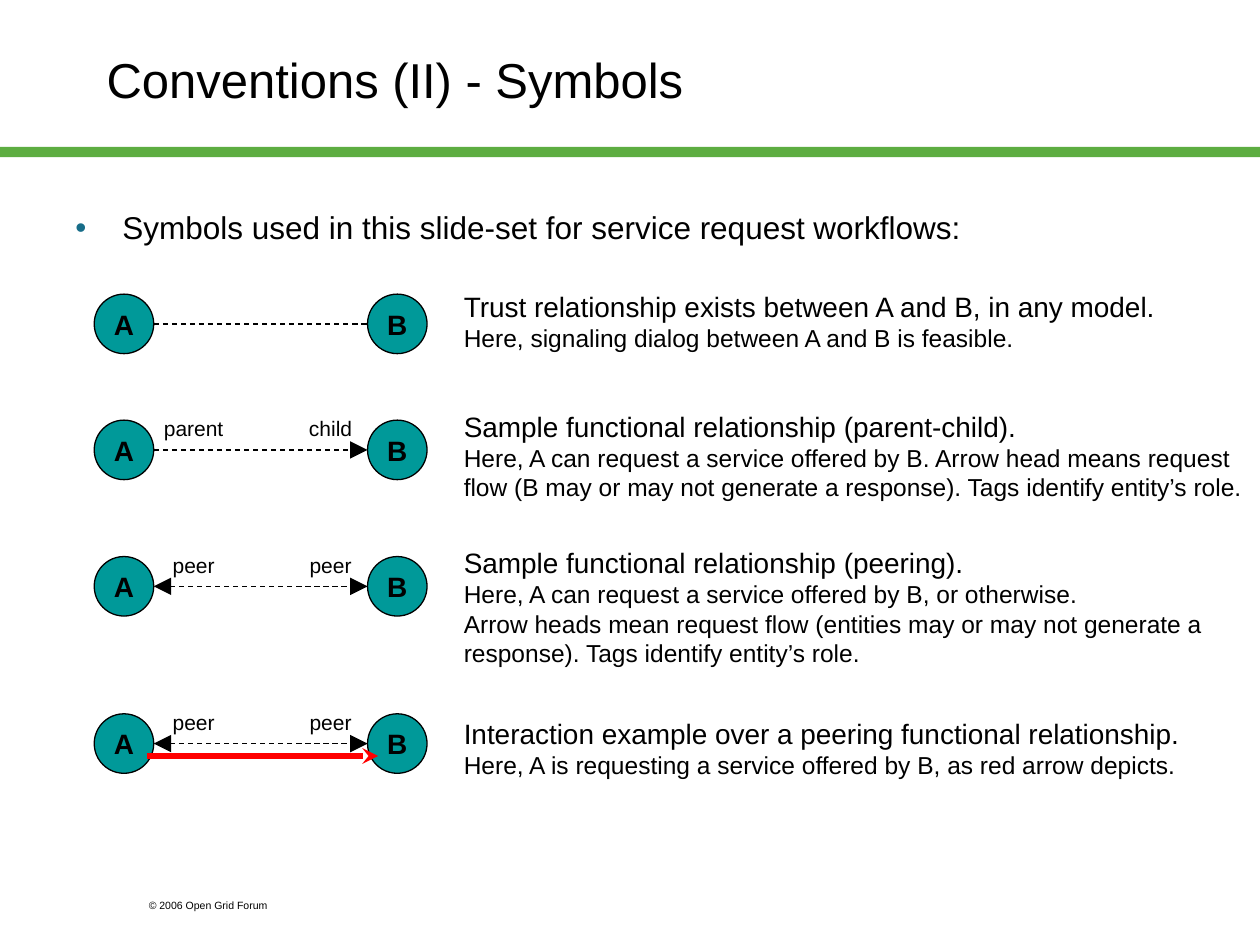
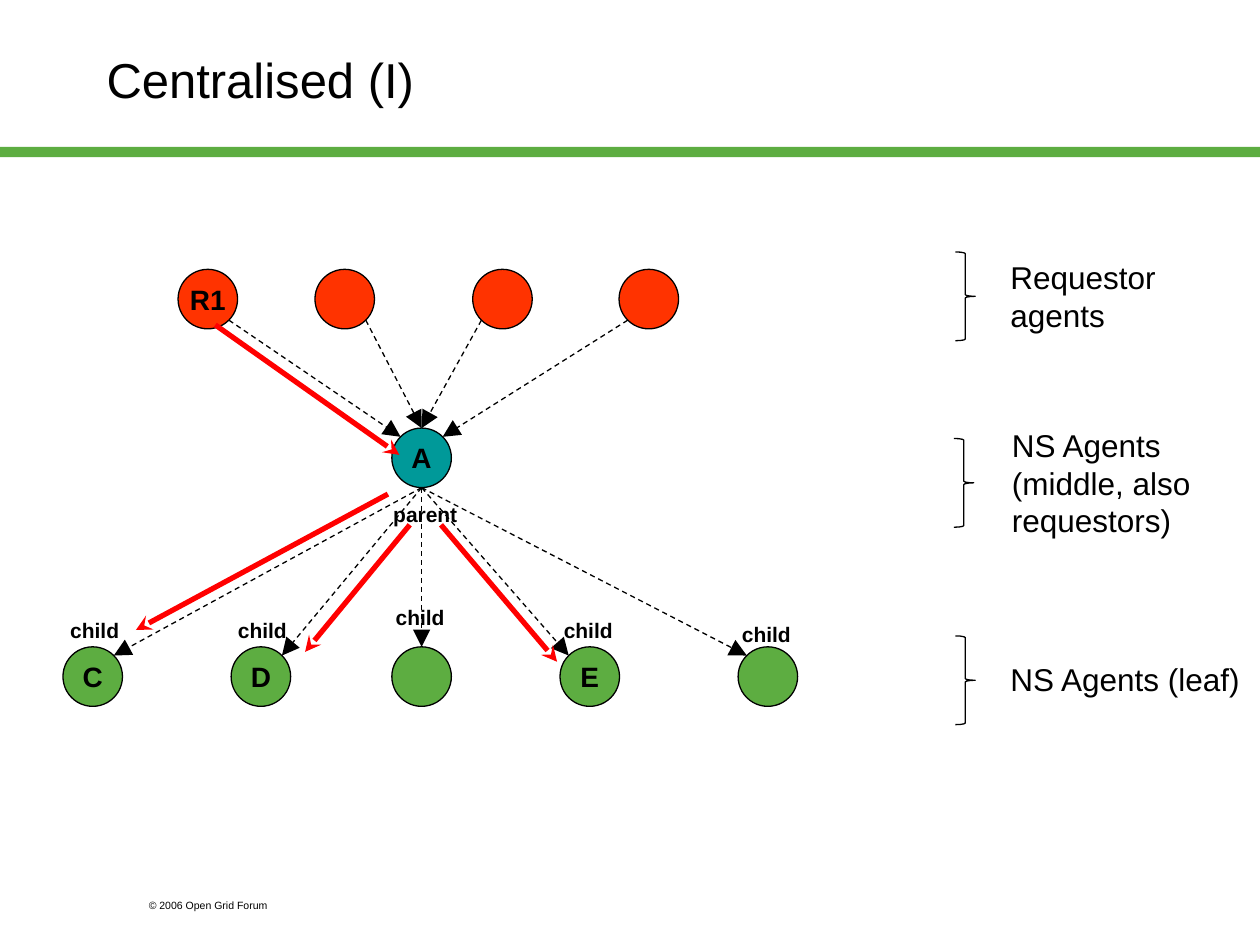
from typing import NamedTuple, Optional

from pptx import Presentation
from pptx.dml.color import RGBColor
from pptx.enum.dml import MSO_LINE
from pptx.enum.shapes import MSO_CONNECTOR, MSO_SHAPE
from pptx.enum.text import MSO_ANCHOR, PP_ALIGN
from pptx.oxml.ns import qn
from pptx.util import Cm, Pt
from lxml.etree import SubElement

COLOURS = {
    "ink": "000000",
    "band": "5DAD41",
    "bullet": "176D89",
    "agent": "009999",
    "leaf": "5DAD41",
    "requestor": "FF3300",
    "request": "FF0000",
}
FONT = "Arial"
DIAMETER = 1.2
DIAGONAL = 0.5 ** 0.5
COMPASS = {
    "N": (0, -1), "S": (0, 1), "W": (-1, 0), "E": (1, 0),
    "NW": (-DIAGONAL, -DIAGONAL), "NE": (DIAGONAL, -DIAGONAL),
    "SW": (-DIAGONAL, DIAGONAL), "SE": (DIAGONAL, DIAGONAL),
}


class Point(NamedTuple):
    x: float
    y: float


class Frame(NamedTuple):
    left: float
    top: float
    width: float
    height: float

    def lengths(self) -> list:
        return [Cm(value) for value in self]


class Node(NamedTuple):
    left: float
    top: float
    colour: str
    name: str = ""

    def rim(self, direction: str) -> Point:
        """Point on the circle in a compass direction."""
        radius = DIAMETER / 2
        dx, dy = COMPASS[direction]
        return Point(self.left + radius * (1 + dx), self.top + radius * (1 + dy))


class Symbol(NamedTuple):
    node_top: float
    text_top: float
    text_height: float
    lines: list
    roles: tuple = ()
    head: Optional[str] = None
    tail: Optional[str] = None


class Level(NamedTuple):
    brace: Point
    frame: Frame
    lines: list


class Leaf(NamedTuple):
    node: Node
    label: Point
    side: str


def colour(name: str) -> RGBColor:
    return RGBColor.from_string(COLOURS[name])


# Drawing helpers
def style(para, size: float, bold: bool = False, align=PP_ALIGN.LEFT) -> None:
    para.alignment = align
    for span in para.runs:
        span.font.name = FONT
        span.font.size = Pt(size)
        span.font.bold = bold
        span.font.color.rgb = colour("ink")


def add_text(page, frame: Frame, lines: list, sizes: list, bold: bool = False,
             align=PP_ALIGN.LEFT, anchor=MSO_ANCHOR.TOP):
    """Text box with one paragraph a line; the last size serves the rest."""
    box = page.shapes.add_textbox(*frame.lengths())
    text_frame = box.text_frame
    text_frame.word_wrap = True
    text_frame.vertical_anchor = anchor
    text_frame.text = "\n".join(lines)
    for index, para in enumerate(text_frame.paragraphs):
        style(para, sizes[min(index, len(sizes) - 1)], bold, align)
    return box


def add_label(page, at: Point, text: str, width: float, bold: bool = False) -> None:
    add_text(page, Frame(at.x, at.y, width, 0.75), [text], [12], bold, PP_ALIGN.CENTER)


def add_node(page, node: Node) -> None:
    frame = Frame(node.left, node.top, DIAMETER, DIAMETER)
    circle = page.shapes.add_shape(MSO_SHAPE.OVAL, *frame.lengths())
    circle.shadow.inherit = False
    circle.fill.solid()
    circle.fill.fore_color.rgb = colour(node.colour)
    circle.line.color.rgb = colour("ink")
    circle.line.width = Pt(0.75)
    if node.name:
        circle.text_frame.word_wrap = False
        circle.text_frame.vertical_anchor = MSO_ANCHOR.MIDDLE
        circle.text_frame.text = node.name
        style(circle.text_frame.paragraphs[0], 16, True, PP_ALIGN.CENTER)


def add_line(page, start: Point, end: Point, ink: str, width: float, dashed: bool,
             arrow_size: str, head: Optional[str], tail: Optional[str]) -> None:
    points = [Cm(value) for value in (*start, *end)]
    connector = page.shapes.add_connector(MSO_CONNECTOR.STRAIGHT, *points)
    connector.line.color.rgb = colour(ink)
    connector.line.width = Pt(width)
    if dashed:
        connector.line.dash_style = MSO_LINE.DASH
    properties = connector.element.spPr
    outline = properties.find(qn("a:ln"))
    for tag, kind in (("a:headEnd", head), ("a:tailEnd", tail)):
        if kind:
            SubElement(outline, qn(tag), type=kind, w=arrow_size, len=arrow_size)
    SubElement(properties, qn("a:effectLst"))


def add_relation(page, start: Point, end: Point, head: Optional[str] = None,
                 tail: Optional[str] = "triangle") -> None:
    add_line(page, start, end, "ink", 0.75, True, "lg", head, tail)


def add_request(page, start: Point, end: Point) -> None:
    add_line(page, start, end, "request", 3, False, "med", None, "stealth")


def add_page(deck, title: str):
    """Blank page with the shared band, footer and title."""
    page = deck.slides.add_slide(deck.slide_layouts[6])
    band = page.shapes.add_shape(MSO_SHAPE.RECTANGLE, *Frame(0, 2.96, 25.4, 0.21).lengths())
    band.shadow.inherit = False
    band.fill.solid()
    band.fill.fore_color.rgb = colour("band")
    band.line.fill.background()
    add_text(page, Frame(2.75, 17.99, 3.81, 0.5), ["© 2006 Open Grid Forum"], [6])
    add_text(page, Frame(1.9, 0, 21.59, 3.18), [title], [28], anchor=MSO_ANCHOR.MIDDLE)
    return page


# Page 1: the symbols and what they mean
SYMBOLS = [
    Symbol(5.93, 5.72, 1.52, [
        "Trust relationship exists between A and B, in any model.",
        "Here, signaling dialog between A and B is feasible.",
    ]),
    Symbol(8.47, 8.13, 2.13, [
        "Sample functional relationship (parent-child).",
        "Here, A can request a service offered by B. Arrow head means request flow "
        "(B may or may not generate a response). Tags identify entity’s role.",
    ], ("parent", "child"), tail="triangle"),
    Symbol(11.22, 10.88, 2.73, [
        "Sample functional relationship (peering).",
        "Here, A can request a service offered by B, or otherwise.",
        "Arrow heads mean request flow (entities may or may not generate a response). "
        "Tags identify entity’s role.",
    ], ("peer", "peer"), "triangle", "triangle"),
    Symbol(14.39, 14.32, 1.52, [
        "Interaction example over a peering functional relationship.",
        "Here, A is requesting a service offered by B, as red arrow depicts.",
    ], ("peer", "peer"), "triangle", "triangle"),
]


def add_bullet_text(page, text: str) -> None:
    box = add_text(page, Frame(1.27, 3.18, 22.91, 12.27), [text], [18])
    box.text_frame.margin_top = Cm(1.02)
    properties = box.text_frame.paragraphs[0]._p.get_or_add_pPr()
    properties.set("marL", str(Cm(0.95)))
    properties.set("indent", str(-Cm(0.95)))
    bullet_colour = SubElement(properties, qn("a:buClr"))
    SubElement(bullet_colour, qn("a:srgbClr"), val=COLOURS["bullet"])
    SubElement(properties, qn("a:buFont"), typeface=FONT)
    SubElement(properties, qn("a:buChar"), char="•")


def add_symbol(page, symbol: Symbol) -> None:
    first = Node(1.9, symbol.node_top, "agent", "A")
    second = Node(7.41, symbol.node_top, "agent", "B")
    add_relation(page, first.rim("E"), second.rim("W"), symbol.head, symbol.tail)
    add_node(page, first)
    add_node(page, second)
    for left, role in zip((2.74, 5.5), symbol.roles):
        add_label(page, Point(left, symbol.node_top - 0.21), role, 2.33)
    frame = Frame(9.1, symbol.text_top, 16.3, symbol.text_height)
    add_text(page, frame, symbol.lines, [16, 14])


def build_symbols(deck) -> None:
    page = add_page(deck, "Conventions (II) - Symbols")
    add_bullet_text(page, "Symbols used in this slide-set for service request workflows:")
    for symbol in SYMBOLS:
        add_symbol(page, symbol)
    add_request(page, Point(2.96, 15.24), Point(7.62, 15.24))


# Page 2: one central agent between requestors and leaves
CENTRE = Node(7.9, 8.63, "agent", "A")
REQUESTOR_TOP, LEAF_TOP = 5.43, 13.04
REQUESTORS = [  # node, side it leaves from, side of the centre it reaches
    (Node(3.59, REQUESTOR_TOP, "requestor", "R1"), "SE", "NW"),
    (Node(6.35, REQUESTOR_TOP, "requestor"), "SE", "N"),
    (Node(9.53, REQUESTOR_TOP, "requestor"), "SW", "N"),
    (Node(12.48, REQUESTOR_TOP, "requestor"), "SW", "NE"),
]
LEAVES = [
    Leaf(Node(1.27, LEAF_TOP, "leaf", "C"), Point(0.85, 12.32), "NE"),
    Leaf(Node(4.66, LEAF_TOP, "leaf", "D"), Point(4.23, 12.32), "NE"),
    Leaf(Node(7.9, LEAF_TOP, "leaf"), Point(7.41, 12.07), "N"),
    Leaf(Node(11.29, LEAF_TOP, "leaf", "E"), Point(10.8, 12.32), "NW"),
    Leaf(Node(14.88, LEAF_TOP, "leaf"), Point(14.39, 12.4), "NW"),
]
REQUESTS = [
    (Point(4.34, 6.55), Point(8.05, 9.17)),
    (Point(7.82, 9.96), Point(2.74, 12.7)),
    (Point(8.26, 10.58), Point(6.15, 13.14)),
    (Point(8.89, 10.58), Point(11.23, 13.34)),
]
LEVELS = [
    Level(Point(19.26, 5.08), Frame(20.12, 5.08, 4.04, 1.78), ["Requestor", "agents"]),
    Level(Point(19.23, 8.84), Frame(20.15, 8.46, 4.3, 2.54),
          ["NS Agents", "(middle, also\vrequestors)"]),
    Level(Point(19.26, 12.82), Frame(20.12, 13.18, 5.28, 1.02), ["NS Agents (leaf)"]),
]


def add_level(page, level: Level) -> None:
    frame = Frame(*level.brace, 0.4, 1.79)
    brace = page.shapes.add_shape(MSO_SHAPE.RIGHT_BRACE, *frame.lengths())
    brace.shadow.inherit = False
    brace.fill.background()
    brace.line.color.rgb = colour("ink")
    brace.line.width = Pt(0.75)
    add_text(page, level.frame, level.lines, [18])


def build_centralised(deck) -> None:
    page = add_page(deck, "Centralised (I)")
    add_node(page, CENTRE)
    for node, leaving, reaching in REQUESTORS:
        add_node(page, node)
        add_relation(page, node.rim(leaving), CENTRE.rim(reaching))
    for leaf in LEAVES:
        add_node(page, leaf.node)
        add_relation(page, CENTRE.rim("S"), leaf.node.rim(leaf.side))
        add_label(page, leaf.label, "child", 2.12, True)
    add_label(page, Point(7.41, 9.98), "parent", 2.33, True)
    for level in LEVELS:
        add_level(page, level)
    for start, end in REQUESTS:
        add_request(page, start, end)


def main() -> None:
    deck = Presentation()
    deck.slide_width, deck.slide_height = Cm(25.4), Cm(19.05)
    build_symbols(deck)
    build_centralised(deck)
    deck.save("out.pptx")


if __name__ == "__main__":
    main()
